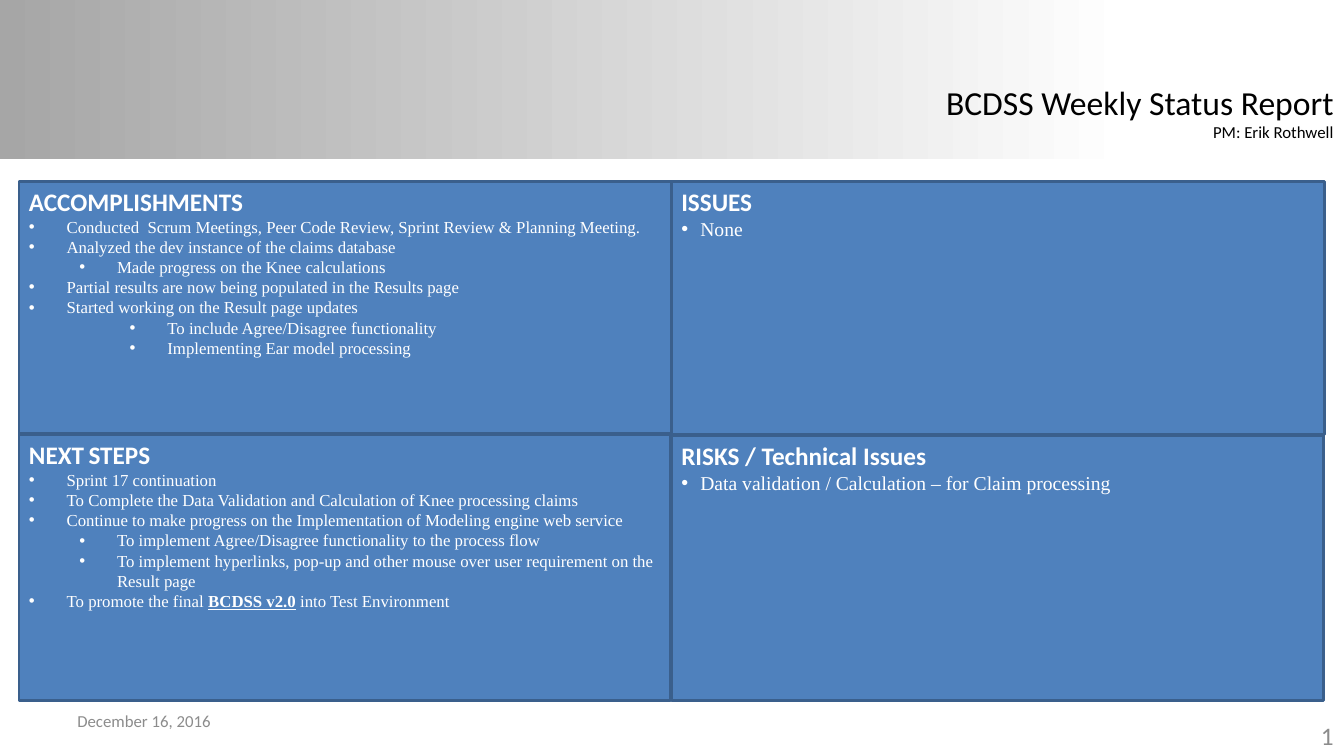
from dataclasses import dataclass

from lxml import etree
from pptx import Presentation
from pptx.dml.color import RGBColor
from pptx.enum.shapes import MSO_SHAPE
from pptx.enum.text import MSO_ANCHOR, MSO_AUTO_SIZE, PP_ALIGN
from pptx.oxml.ns import qn
from pptx.util import Cm, Pt

RECT = MSO_SHAPE.RECTANGLE
TOP, MID = MSO_ANCHOR.TOP, MSO_ANCHOR.MIDDLE
LEFT, RIGHT = PP_ALIGN.LEFT, PP_ALIGN.RIGHT
FIT = MSO_AUTO_SIZE.SHAPE_TO_FIT_TEXT

BLUE = RGBColor(0x4F, 0x81, 0xBD)
EDGE = RGBColor(0x3A, 0x5F, 0x8C)
WHITE = RGBColor(0xFF, 0xFF, 0xFF)
BLACK = RGBColor(0, 0, 0)
GRAY = RGBColor(0x8C, 0x8C, 0x8C)
SHADE = RGBColor(0xA6, 0xA6, 0xA6)

SANS = "Calibri"
SERIF = "Times New Roman"
STEP = 1.27


@dataclass
class Run:
    text: str
    size: float
    font: str = SANS
    color: RGBColor = WHITE
    bold: bool = False
    under: bool = False


@dataclass
class Item:
    texts: list[str]
    level: int = 0
    strong: int = -1


@dataclass
class Panel:
    left: float
    top: float
    width: float
    height: float
    head: list[Run]
    items: list[Item]
    size: float
    hang: float


@dataclass
class Label:
    left: float
    top: float
    width: float
    height: float
    lines: list[Run]
    align: PP_ALIGN
    anchor: MSO_ANCHOR = MID
    wrap: bool = True


def title(text: str) -> Run:
    return Run(text, 18, bold=True)


PANELS = [
    Panel(0.48, 4.57, 16.43, 6.35, [title("ACCOMPLISHMENTS")], [
        Item(["Conducted  Scrum Meetings, Peer Code Review, Sprint Review & Planning Meeting."]),
        Item(["Analyzed the dev instance of the claims database"]),
        Item(["Made progress on the Knee calculations"], 1),
        Item(["Partial results are now being populated in the Results page"]),
        Item(["Started working on the Result page updates"]),
        Item(["To include Agree/Disagree functionality"], 2),
        Item(["Implementing Ear model processing"], 2),
    ], 12, 0.95),
    Panel(0.48, 10.95, 16.41, 6.71,
          [title("NEXT"), Run(" ", 14, bold=True), title("STEPS")], [
        Item(["Sprint 17 continuation"]),
        Item(["To Complete the Data Validation and Calculation of Knee processing claims"]),
        Item(["Continue to make progress on the Implementation of Modeling engine web service"]),
        Item(["To implement Agree/Disagree functionality to the process flow"], 1),
        Item(["To implement hyperlinks, pop-up and other mouse over user requirement"
              " on the Result page"], 1),
        Item(["To promote the final ", "BCDSS v2.0", " into Test Environment"], strong=1),
    ], 12, 0.95),
    Panel(16.92, 4.57, 16.46, 6.38, [title("ISSUES")], [Item(["None"])], 14, 0.48),
    Panel(16.92, 10.97, 16.43, 6.68, [title("RISKS / Technical Issues")],
          [Item(["Data validation / Calculation – for Claim processing"])], 14, 0.48),
]

LABELS = [
    Label(25.96, 18.01, 7.9, 1.02, [Run("1", 18, color=GRAY)], RIGHT),
    Label(23.5, 1.93, 10.36, 1.8, [
        Run("BCDSS Weekly Status Report", 24, color=BLACK),
        Run("PM: Erik Rothwell", 12, color=BLACK),
    ], RIGHT, TOP, False),
    Label(1.7, 17.65, 7.9, 1.02, [Run("December 16, 2016", 12, color=GRAY)], LEFT),
]


def add_run(para, run: Run) -> None:
    piece = para.add_run()
    piece.text = run.text
    font = piece.font
    font.name, font.size = run.font, Pt(run.size)
    font.bold, font.underline = run.bold, run.under
    font.color.rgb = run.color


def add_dot(para, level: int, hang: float) -> None:
    para.level = level
    props = para._p.get_or_add_pPr()
    props.set("marL", str(Cm(hang + level * STEP)))
    props.set("indent", str(-Cm(hang)))
    etree.SubElement(props, qn("a:buFont")).set("typeface", "Arial")
    etree.SubElement(props, qn("a:buChar")).set("char", "•")


def draw_band(slide, width: int) -> None:
    band = slide.shapes.add_shape(RECT, 0, 0, width, Cm(4.02))
    band.shadow.inherit = False
    band.line.fill.background()
    band.fill.gradient()
    band.fill.gradient_angle = 0
    stops = band.fill.gradient_stops
    for stop, place, color in zip(stops, (0, 0.84), (SHADE, WHITE)):
        stop.position = place
        stop.color.rgb = color


def draw_panel(slide, panel: Panel) -> None:
    box = slide.shapes.add_shape(RECT, Cm(panel.left), Cm(panel.top),
                                 Cm(panel.width), Cm(panel.height))
    box.shadow.inherit = False
    box.fill.solid()
    box.fill.fore_color.rgb = BLUE
    box.line.color.rgb = EDGE
    box.line.width = Pt(2)
    frame = box.text_frame
    frame.word_wrap = True
    frame.vertical_anchor = TOP
    para = frame.paragraphs[0]
    para.alignment = LEFT
    for run in panel.head:
        add_run(para, run)
    for item in panel.items:
        para = frame.add_paragraph()
        para.alignment = LEFT
        add_dot(para, item.level, panel.hang)
        for i, text in enumerate(item.texts):
            mark = i == item.strong
            add_run(para, Run(text, panel.size, SERIF, bold=mark, under=mark))


def draw_label(slide, label: Label) -> None:
    box = slide.shapes.add_textbox(Cm(label.left), Cm(label.top),
                                   Cm(label.width), Cm(label.height))
    frame = box.text_frame
    frame.word_wrap = label.wrap
    frame.vertical_anchor = label.anchor
    if not label.wrap:
        frame.auto_size = FIT
    for i, run in enumerate(label.lines):
        para = frame.add_paragraph() if i else frame.paragraphs[0]
        para.alignment = label.align
        add_run(para, run)


def main() -> None:
    deck = Presentation()
    deck.slide_width, deck.slide_height = Cm(33.87), Cm(19.05)
    slide = deck.slides.add_slide(deck.slide_layouts[6])
    draw_band(slide, deck.slide_width)
    for panel in PANELS:
        draw_panel(slide, panel)
    for label in LABELS:
        draw_label(slide, label)
    deck.save("out.pptx")


if __name__ == "__main__":
    main()
